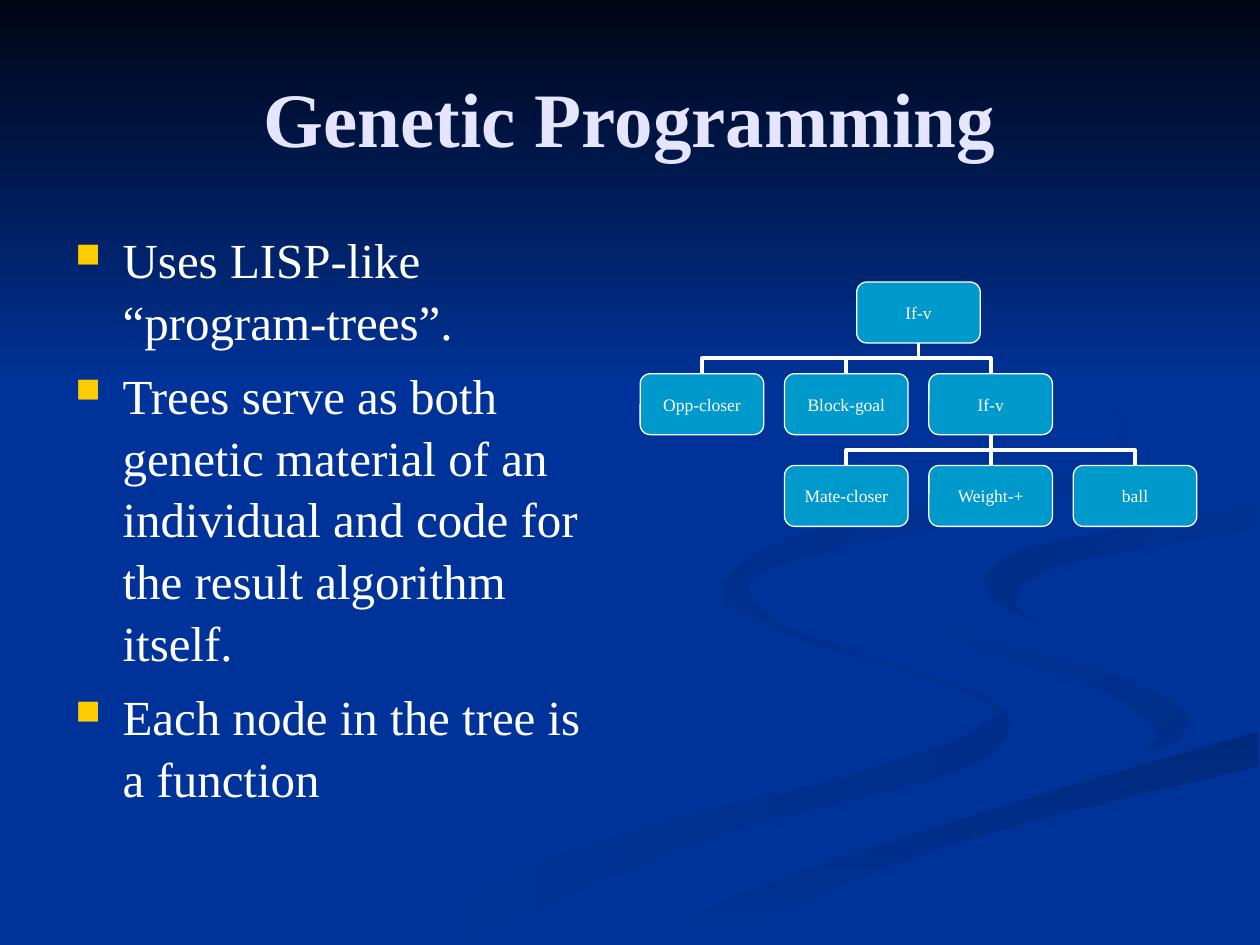
from lxml import etree
from pptx import Presentation
from pptx.dml.color import RGBColor
from pptx.enum import shapes, text
from pptx.oxml.ns import qn
from pptx.util import Pt

# Content
TITLE = "Genetic Programming"
BULLETS = [
    "Uses LISP-like “program-trees”.",
    "Trees serve as both genetic material of an individual and code for "
    "the result algorithm itself.",
    "Each node in the tree is a function",
]
# label, column, row, index of the parent node
NODES = [
    ("If-v", 1.5, 0, None),
    ("Opp-closer", 0, 1, 0),
    ("Block-goal", 1, 1, 0),
    ("If-v", 2, 1, 0),
    ("Mate-closer", 1, 2, 3),
    ("Weight-+", 2, 2, 3),
    ("ball", 3, 2, 3),
]

THEME = {
    "font": "Times New Roman", "title_size": 44, "body_size": 28, "node_size": 10,
    "ground": "003399", "title": "E5E5FF", "text": "FFFFFF", "bullet": "FFCC00",
    "node": "0099CC", "line": "FFFFFF", "shade": "002E8A", "deep": "00297C",
    "dusk": "002C85", "night": "000514",
}

# Background ribbons: gradient ends, clockwise angle, smooth edges in points
ROAD_EDGE = [(719, 418), (598, 453), (454, 499), (362, 539)]
BEND = [(521, 334), (546, 359), (626, 382), (676, 405), (671, 424)]
RIBBONS = [
    (("shade", "ground"), 180, [
        [(414, 330), (428, 349), (491, 374), (562, 398), (576, 418), (544, 442),
         (406, 479), (260, 539)],
        [(216, 539), (330, 485), (492, 441), (564, 413), (549, 394), (454, 364),
         (412, 343)]]),
    (("shade", "ground"), 225, [
        BEND + [(644, 436)],
        [(644, 436), (661, 418), (625, 392), (552, 369), (522, 341)]]),
    (("deep", "ground"), 90, [
        [(411, 539), (500, 498), (591, 469), (719, 438)], ROAD_EDGE]),
    (("ground",), 0, [
        BEND + [(562, 456), (446, 492), (343, 539)], ROAD_EDGE[::-1],
        [(719, 387), (611, 362), (562, 333), (592, 312), (719, 289)],
        [(719, 279), (582, 300), (526, 323)]]),
    (("ground", "dusk"), 225, [
        [(562, 331), (570, 344), (595, 357)],
        [(595, 357), (580, 343), (607, 323), (719, 302)],
        [(719, 289), (592, 312), (562, 331)]]),
    (("ground", "dusk"), 225, [
        [(549, 168), (607, 198), (644, 248), (594, 289), (492, 310), (429, 332),
         (448, 360)],
        [(448, 360), (415, 333), (467, 302), (606, 272), (640, 241), (609, 201),
         (549, 168)]]),
    (("night", "ground"), 90, [[(0, 0), (720, 0)], [(720, 222), (0, 222)]]),
]


def rgb(name):
    return RGBColor.from_string(THEME[name])


def smooth(edge, steps=6):
    """Points of a Catmull-Rom curve through an open edge."""
    if len(edge) == 2:
        return edge
    padded = [edge[0], *edge, edge[-1]]
    curve = []
    for a, b, c, d in zip(padded, padded[1:], padded[2:], padded[3:]):
        for t in (k / steps for k in range(steps)):
            curve.append(tuple(
                q + t * (r - p + t * (2 * p - 5 * q + 4 * r - s
                                      + t * (3 * q - p - 3 * r + s))) / 2
                for p, q, r, s in zip(a, b, c, d)))
    return curve + [edge[-1]]


def add_bullet(p, indent):
    pPr = p._p.get_or_add_pPr()
    pPr.set("marL", str(Pt(indent)))
    pPr.set("indent", str(-Pt(indent)))
    color = etree.SubElement(pPr, qn("a:buClr"))
    etree.SubElement(color, qn("a:srgbClr")).set("val", THEME["bullet"])
    etree.SubElement(pPr, qn("a:buSzPct")).set("val", "70000")
    etree.SubElement(pPr, qn("a:buChar")).set("char", "■")


def write(sp, lines, size, color="text", bold=False, align="LEFT", anchor="MIDDLE",
          margins=(7.2, 3.6), wrap=True, indent=0, before=0, spacing=None):
    tf = sp.text_frame
    tf.word_wrap = wrap
    tf.auto_size = text.MSO_AUTO_SIZE.NONE
    tf.vertical_anchor = getattr(text.MSO_ANCHOR, anchor)
    tf.margin_left = tf.margin_right = Pt(margins[0])
    tf.margin_top = tf.margin_bottom = Pt(margins[1])
    for i, line in enumerate(lines):
        p = tf.paragraphs[0] if i == 0 else tf.add_paragraph()
        if indent:
            add_bullet(p, indent)
        p.alignment = getattr(text.PP_ALIGN, align)
        p.line_spacing = spacing
        p.space_before = Pt(before if i else 0)
        r = p.add_run()
        r.text = line
        r.font.name, r.font.size, r.font.bold = THEME["font"], Pt(THEME[size]), bold
        r.font.color.rgb = rgb(color)


def add_ribbon(s, colors, angle, edges):
    outline = [(Pt(x), Pt(y)) for edge in edges for x, y in smooth(edge)]
    builder = s.shapes.build_freeform(*outline[0])
    builder.add_line_segments(outline[1:], close=True)
    sp = builder.convert_to_shape()
    sp.shadow.inherit = False
    sp.line.fill.background()
    if len(colors) == 1:
        sp.fill.solid()
        sp.fill.fore_color.rgb = rgb(colors[0])
        return
    sp.fill.gradient()
    sp.fill.gradient_angle = 360 - angle
    for stop, color in zip(sp.fill.gradient_stops, colors):
        stop.color.rgb = rgb(color)


def add_node(s, label, column, row):
    left, top, step_x, step_y, width, height = 365.8, 161.2, 82.5, 52.4, 70.6, 34.8
    sp = s.shapes.add_shape(shapes.MSO_SHAPE.ROUNDED_RECTANGLE, Pt(left + column * step_x),
                            Pt(top + row * step_y), Pt(width), Pt(height))
    sp.shadow.inherit = False
    sp.fill.solid()
    sp.fill.fore_color.rgb = rgb("node")
    sp.line.color.rgb = rgb("line")
    sp.line.width = Pt(0.75)
    write(sp, [label], "node_size", align="CENTER", margins=(4.3, 2.2), wrap=False)
    return sp


def add_branch(s, parent, child):
    x1, y1 = parent.left + parent.width // 2, parent.top + parent.height
    x2, y2 = child.left + child.width // 2, child.top
    dx, dy = x2 - x1, y2 - y1
    kind = shapes.MSO_CONNECTOR.ELBOW if dx else shapes.MSO_CONNECTOR.STRAIGHT
    c = s.shapes.add_connector(kind, x1, y1, x2, y2)
    c.begin_connect(parent, 2)
    c.end_connect(child, 0)
    if dx:  # a quarter turn makes the elbow leave downwards
        c.left, c.top = (x1 + x2 - dy) // 2, (y1 + y2 - abs(dx)) // 2
        c.width, c.height = dy, abs(dx)
        xfrm = c._element.spPr.xfrm
        xfrm.rot, xfrm.flipH, xfrm.flipV = 90, False, dx > 0
    c.line.color.rgb = rgb("line")
    c.line.width = Pt(2.25)
    etree.SubElement(c._element.spPr, qn("a:effectLst"))


def main():
    prs = Presentation()
    prs.slide_width, prs.slide_height = Pt(720), Pt(540)
    s = prs.slides.add_slide(prs.slide_layouts[5])

    # Background
    s.background.fill.solid()
    s.background.fill.fore_color.rgb = rgb("ground")
    for ribbon in RIBBONS:
        add_ribbon(s, *ribbon)

    # Title, brought in front of the ribbons
    title = s.shapes.title
    s.shapes._spTree.append(title._element)
    title.left, title.top, title.width, title.height = Pt(36), Pt(21.6), Pt(648), Pt(90)
    write(title, [TITLE], "title_size", color="title", bold=True, align="CENTER")

    # Bullets
    body = s.shapes.add_textbox(Pt(36), Pt(126), Pt(318), Pt(356.4))
    write(body, BULLETS, "body_size", anchor="TOP", indent=27, before=7, spacing=1.05)

    # Program tree
    boxes = [add_node(s, label, column, row) for label, column, row, _ in NODES]
    for box, (_, _, _, parent) in zip(boxes, NODES):
        if parent is not None:
            add_branch(s, boxes[parent], box)

    prs.save("out.pptx")


if __name__ == "__main__":
    main()
